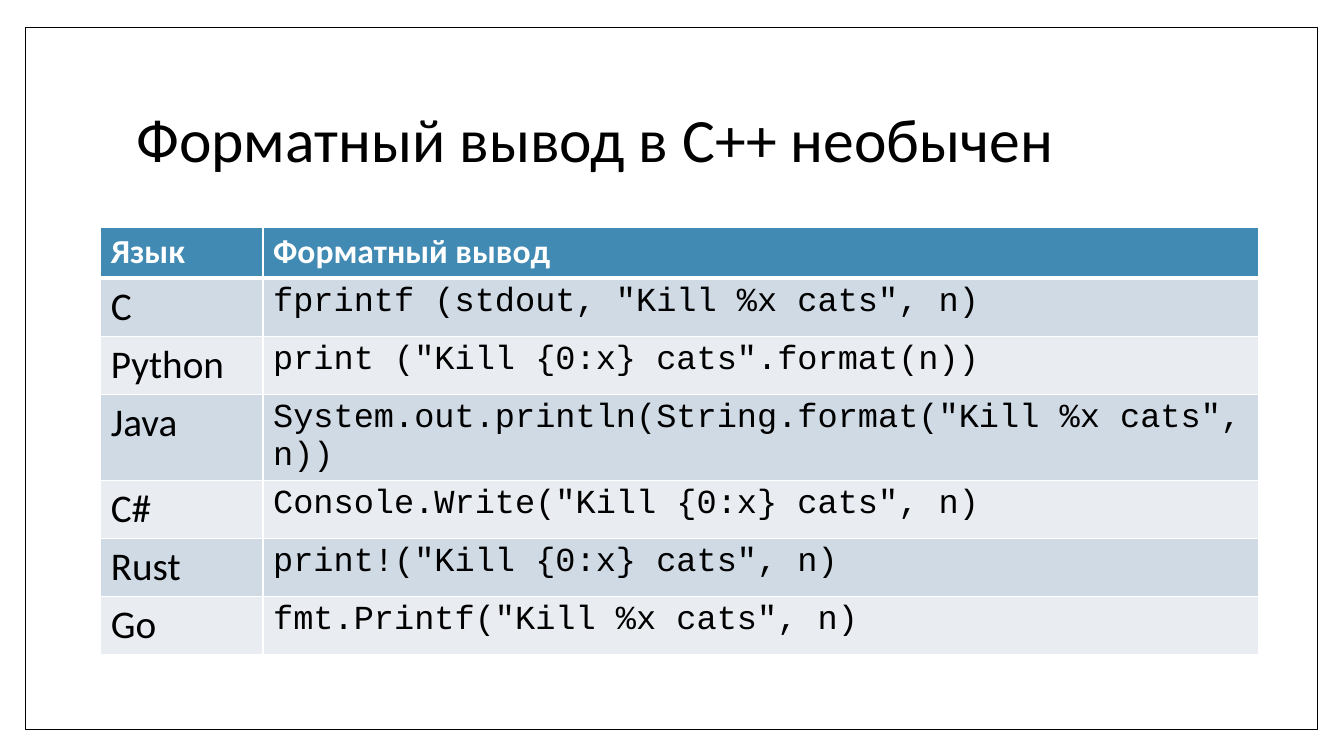
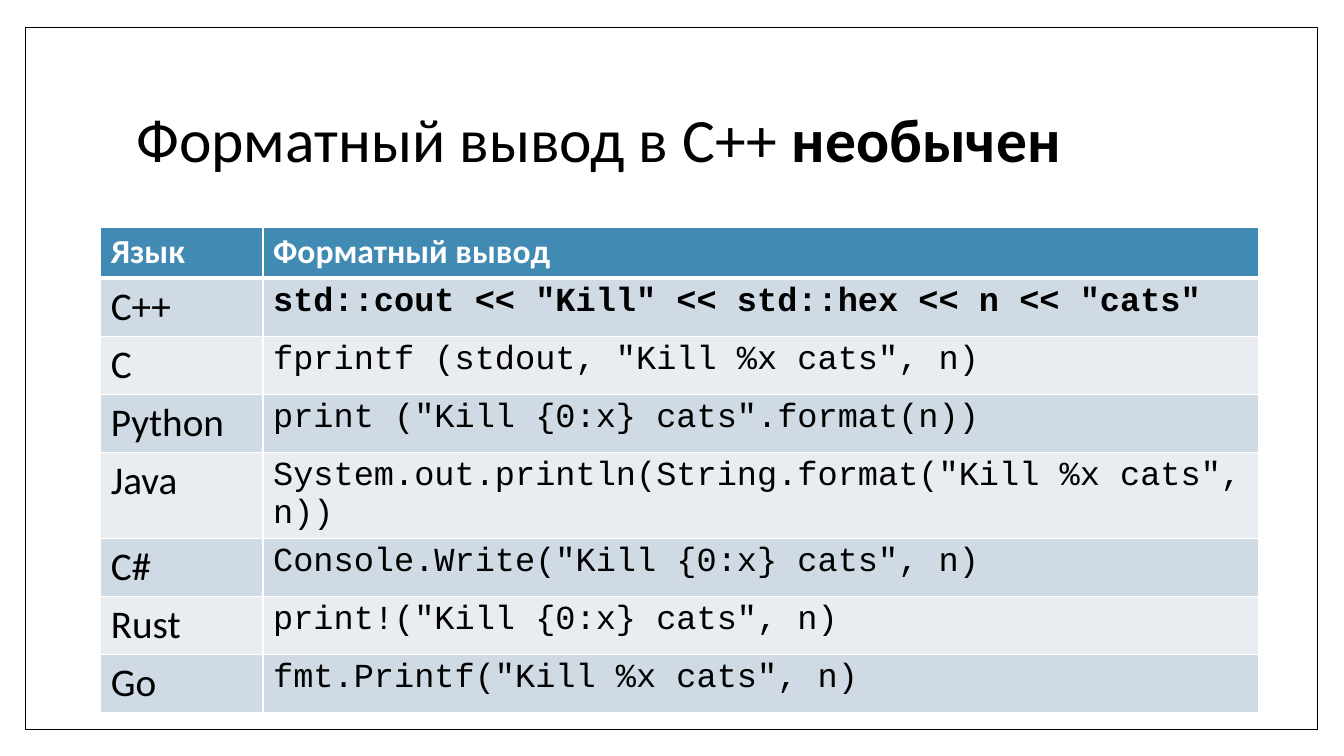
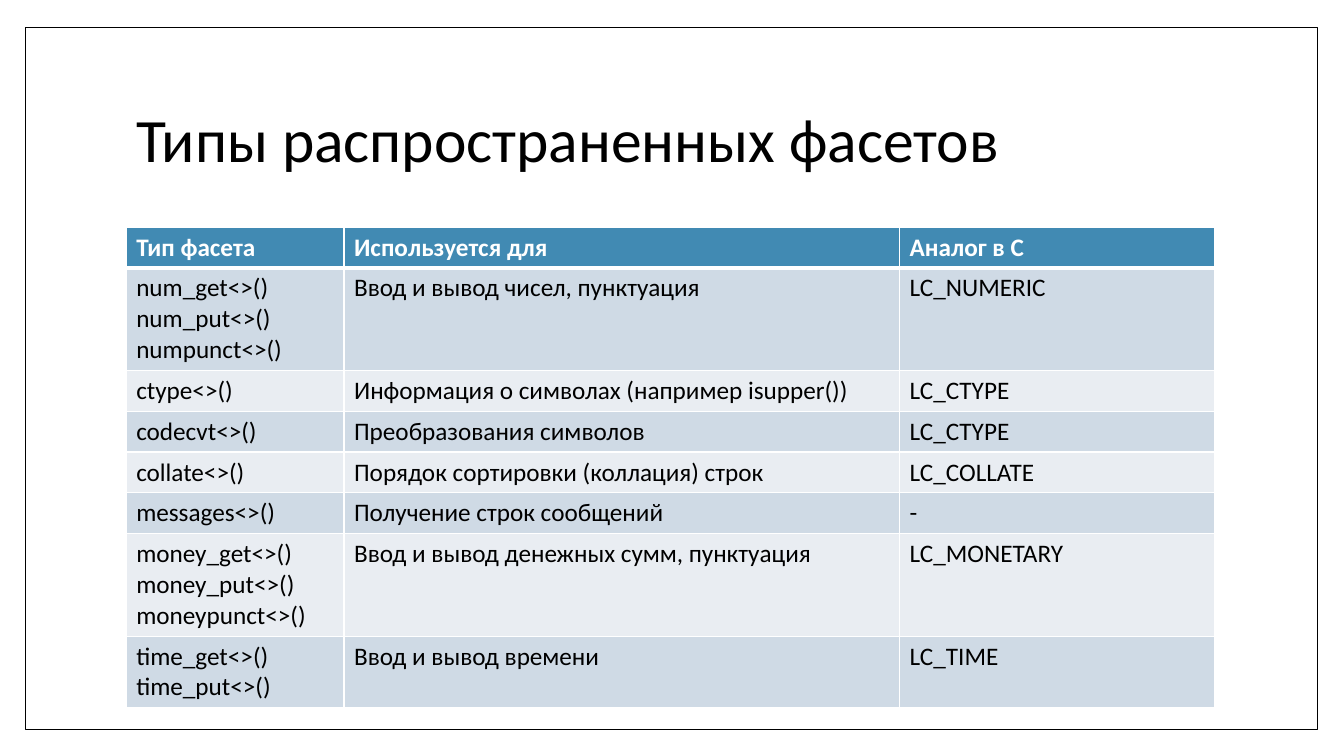
"""Build three slides on formatted output and facets in C++."""
from dataclasses import dataclass

from lxml.etree import SubElement
from pptx import Presentation
from pptx.dml.color import RGBColor as Rgb
from pptx.enum.shapes import MSO_SHAPE as Preset
from pptx.enum.text import MSO_ANCHOR as Anchor, MSO_AUTO_SIZE as AutoSize, PP_ALIGN as Align
from pptx.oxml.ns import qn
from pptx.util import Cm, Pt


@dataclass(frozen=True)
class Theme:
    ink: str = "000000"
    paper: str = "FFFFFF"
    header: str = "418AB3"
    bands: tuple = ("CFDAE5", "E9EDF2")
    body_font: str = "Calibri"
    code_font: str = "Courier New"
    title_size: int = 44
    language_size: int = 28
    code_size: int = 24
    facet_size: int = 18
    rule: int = 1
    header_rule: int = 3


@dataclass(frozen=True)
class Face:
    font: str
    size: int
    bold: bool = False


class Deck:
    def __init__(self, theme):
        self.theme = theme
        self.show = Presentation()
        self.show.slide_width, self.show.slide_height = Cm(33.87), Cm(19.05)
        self.layout = self.show.slide_layouts.get_by_name("Title Only")
        heading = self.layout.placeholders[0]
        heading.left, heading.top, heading.width, heading.height = Cm(3.18), Cm(1.7), Cm(27.43), Cm(3.76)
        self.slide = None

    def add_slide(self, *title_parts):
        first = self.slide is None
        self.slide = self.show.slides.add_slide(self.layout)
        if first:
            self.frame_layout()
        self.title(title_parts)

    def frame_layout(self):
        frame = self.slide.shapes.add_shape(Preset.RECTANGLE, Cm(0.64), Cm(0.69), Cm(32.56), Cm(17.7))
        frame.shadow.inherit = False
        frame.fill.solid()
        frame.fill.fore_color.rgb = Rgb.from_string(self.theme.paper)
        frame.line.color.rgb = Rgb.from_string(self.theme.ink)
        frame.line.width = Pt(self.theme.rule)
        self.layout.shapes.element.insert(2, frame.element)

    def title(self, parts):
        text = self.slide.shapes.title.text_frame
        text.auto_size = AutoSize.NONE
        text.vertical_anchor = Anchor.MIDDLE
        heading = text.paragraphs[0]
        heading.alignment = Align.LEFT
        heading.line_spacing = 0.9
        for words, bold in parts:
            face = Face(self.theme.body_font, self.theme.title_size, bold)
            self.run(heading, words, face, self.theme.ink)

    def run(self, paragraph, words, face, color):
        run = paragraph.add_run()
        run.text = words
        run.font.name, run.font.size, run.font.bold = face.font, Pt(face.size), face.bold
        run.font.color.rgb = Rgb.from_string(color)

    def border(self, cell, side, width):
        edge = SubElement(cell._tc.get_or_add_tcPr(), qn(f"a:ln{side}"), w=str(Pt(width)))
        paint = SubElement(edge, qn("a:solidFill"))
        SubElement(paint, qn("a:srgbClr"), val=self.theme.paper)

    def cell(self, cell, row, lines, face):
        theme = self.theme
        top = theme.header_rule if row == 1 else theme.rule
        bottom = theme.header_rule if row == 0 else theme.rule
        for side, width in zip("LRTB", (theme.rule, theme.rule, top, bottom)):
            self.border(cell, side, width)
        cell.fill.solid()
        fill = theme.bands[(row - 1) % 2] if row else theme.header
        cell.fill.fore_color.rgb = Rgb.from_string(fill)
        for index, line in enumerate(lines.split("\n")):
            text = cell.text_frame
            paragraph = text.add_paragraph() if index else text.paragraphs[0]
            self.run(paragraph, line, face, theme.ink if row else theme.paper)

    def table(self, left, widths, rows, header_face, column_faces, bold_cells=()):
        row_height = Cm(1.03)
        grid = self.slide.shapes.add_table(
            len(rows), len(widths), left, Cm(5.72), sum(widths), row_height * len(rows)).table
        grid.horz_banding = False
        for column, width in zip(grid.columns, widths):
            column.width = width
        for row, entries in enumerate(rows):
            grid.rows[row].height = row_height
            for column, entry in enumerate(entries):
                face = column_faces[column] if row else header_face
                if (row, column) in bold_cells:
                    face = Face(face.font, face.size, True)
                self.cell(grid.cell(row, column), row, entry, face)

    def language_table(self, rows, bold_cells=()):
        theme = self.theme
        faces = Face(theme.body_font, theme.language_size), Face(theme.code_font, theme.code_size)
        header = Face(theme.body_font, theme.code_size, True)
        self.table(Cm(2.54), (Cm(4.09), Cm(25.1)), rows, header, faces, bold_cells)

    def facet_table(self, rows):
        theme = self.theme
        faces = [Face(theme.body_font, theme.facet_size)] * 3
        header = Face(theme.body_font, theme.facet_size, True)
        self.table(Cm(3.18), (Cm(5.49), Cm(14), Cm(7.95)), rows, header, faces)


LANGUAGE_HEADER = ("Язык", "Форматный вывод")
CPP = ("C++", 'std::cout << "Kill" << std::hex << n << "cats"')
OTHER_LANGUAGES = [
    ("C", 'fprintf (stdout, "Kill %x cats", n)'),
    ("Python", 'print ("Kill {0:x} cats".format(n))'),
    ("Java", 'System.out.println(String.format("Kill %x cats", n))'),
    ("C#", 'Console.Write("Kill {0:x} cats", n)'),
    ("Rust", 'print!("Kill {0:x} cats", n)'),
    ("Go", 'fmt.Printf("Kill %x cats", n)'),
]
FACETS = [
    ("Тип фасета", "Используется для", "Аналог в C"),
    ("num_get<>()\nnum_put<>()\nnumpunct<>()", "Ввод и вывод чисел, пунктуация", "LC_NUMERIC"),
    ("ctype<>()", "Информация о символах (например isupper())", "LC_CTYPE"),
    ("codecvt<>()", "Преобразования символов", "LC_CTYPE"),
    ("collate<>()", "Порядок сортировки (коллация) строк", "LC_COLLATE"),
    ("messages<>()", "Получение строк сообщений", "-"),
    ("money_get<>()\nmoney_put<>()\nmoneypunct<>()", "Ввод и вывод денежных сумм, пунктуация", "LC_MONETARY"),
    ("time_get<>()\ntime_put<>()", "Ввод и вывод времени", "LC_TIME"),
]

deck = Deck(Theme())

deck.add_slide(("Форматный вывод в C++ необычен", False))
deck.language_table([LANGUAGE_HEADER, *OTHER_LANGUAGES])

deck.add_slide(("Форматный вывод в C++ ", False), ("необычен", True))
deck.language_table([LANGUAGE_HEADER, CPP, *OTHER_LANGUAGES], bold_cells={(1, 1)})

deck.add_slide(("Типы распространенных фасетов", False))
deck.facet_table(FACETS)

deck.show.save("out.pptx")
